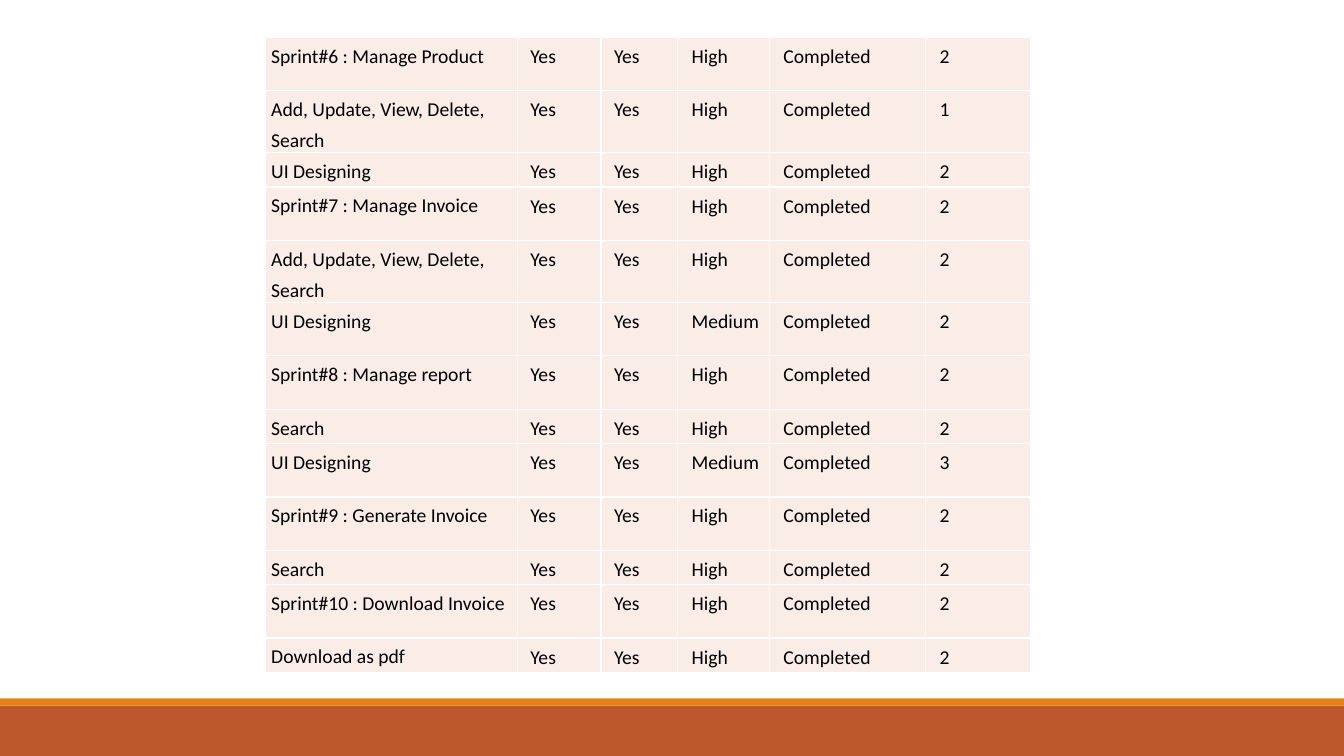
from lxml.etree import SubElement
from pptx import Presentation
from pptx.dml.color import RGBColor
from pptx.enum.shapes import MSO_SHAPE
from pptx.oxml.ns import qn
from pptx.util import Inches, Pt


def paint(fill, color):
    fill.solid()
    fill.fore_color.rgb = RGBColor.from_string(color)


def edge(cell, color):
    props = cell._tc.get_or_add_tcPr()
    for side in ("lnL", "lnR", "lnT", "lnB"):
        line = SubElement(props, qn("a:" + side), w=str(Pt(1)))
        fill = SubElement(line, qn("a:solidFill"))
        SubElement(fill, qn("a:srgbClr"), val=color)


deck = Presentation()
deck.slide_width = Inches(13.33)
deck.slide_height = Inches(7.5)
slide = deck.slides.add_slide(deck.slide_layouts[6])

for top, height, color in ((7, 0.5, "BD582C"), (6.93, 0.07, "E48312")):
    bar = slide.shapes.add_shape(
        MSO_SHAPE.RECTANGLE, 0, Inches(top), deck.slide_width, Inches(height))
    bar.shadow.inherit = False
    bar.line.fill.background()
    paint(bar.fill, color)

tall, short = 0.53, 0.34
tasks = (
    ("Sprint#6 : Manage Product", "High", "2", tall),
    ("Add, Update, View, Delete, Search", "High", "1", tall),
    ("UI Designing", "High", "2", short),
    ("Sprint#7 : Manage Invoice", "High", "2", tall),
    ("Add, Update, View, Delete, Search", "High", "2", tall),
    ("UI Designing", "Medium", "2", tall),
    ("Sprint#8 : Manage report", "High", "2", tall),
    ("Search", "High", "2", short),
    ("UI Designing", "Medium", "3", tall),
    ("Sprint#9 : Generate Invoice", "High", "2", tall),
    ("Search", "High", "2", short),
    ("Sprint#10 : Download Invoice", "High", "2", tall),
    ("Download as pdf", "High", "2", short),
)
widths = (2.5, 0.83, 0.76, 0.91, 1.55, 1.04)
indents = (0, 0.07, 0.07, 0.08, 0.08, 0.08)

table = slide.shapes.add_table(
    len(tasks), len(widths), Inches(2.63), Inches(0.37),
    Inches(7.59), Inches(6.25)).table
table.first_row = False
table.horz_banding = False
for column, width in zip(table.columns, widths):
    column.width = Inches(width)

for row, (task, rank, hours, height) in zip(table.rows, tasks):
    row.height = Inches(height)
    texts = (task, "Yes", "Yes", rank, "Completed", hours)
    for cell, text, indent in zip(row.cells, texts, indents):
        edge(cell, "FFFFFF")
        paint(cell.fill, "FAEDE7")
        cell.margin_left = cell.margin_right = Inches(0.06)
        cell.margin_top = cell.margin_bottom = 0
        para = cell.text_frame.paragraphs[0]
        para.text = text
        para.line_spacing = 1.31 if indent else 1.3
        para.space_after = Pt(6 if indent else 8)
        if indent:
            para._p.get_or_add_pPr().set("marL", str(Inches(indent)))
        font = para.runs[0].font
        font.name = "Calibri"
        font.size = Pt(14)
        paint(font.fill, "000000")

deck.save("out.pptx")
